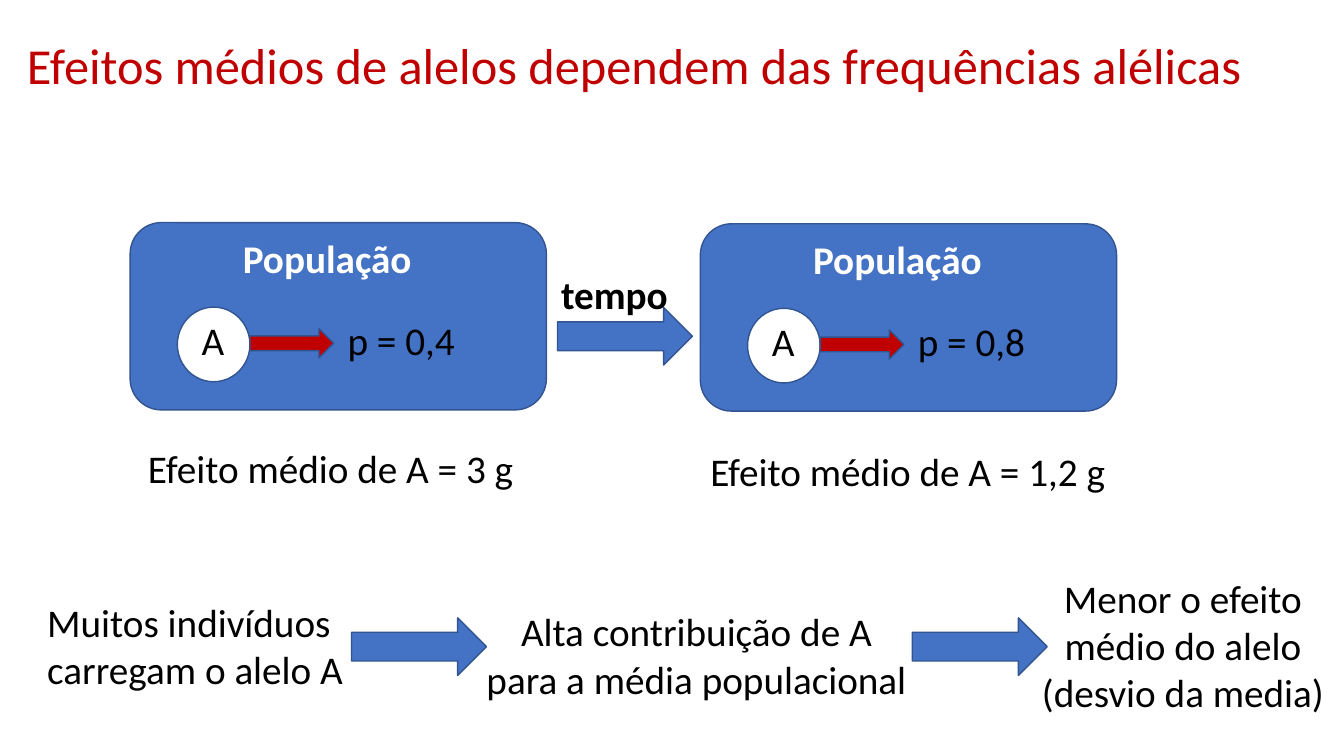
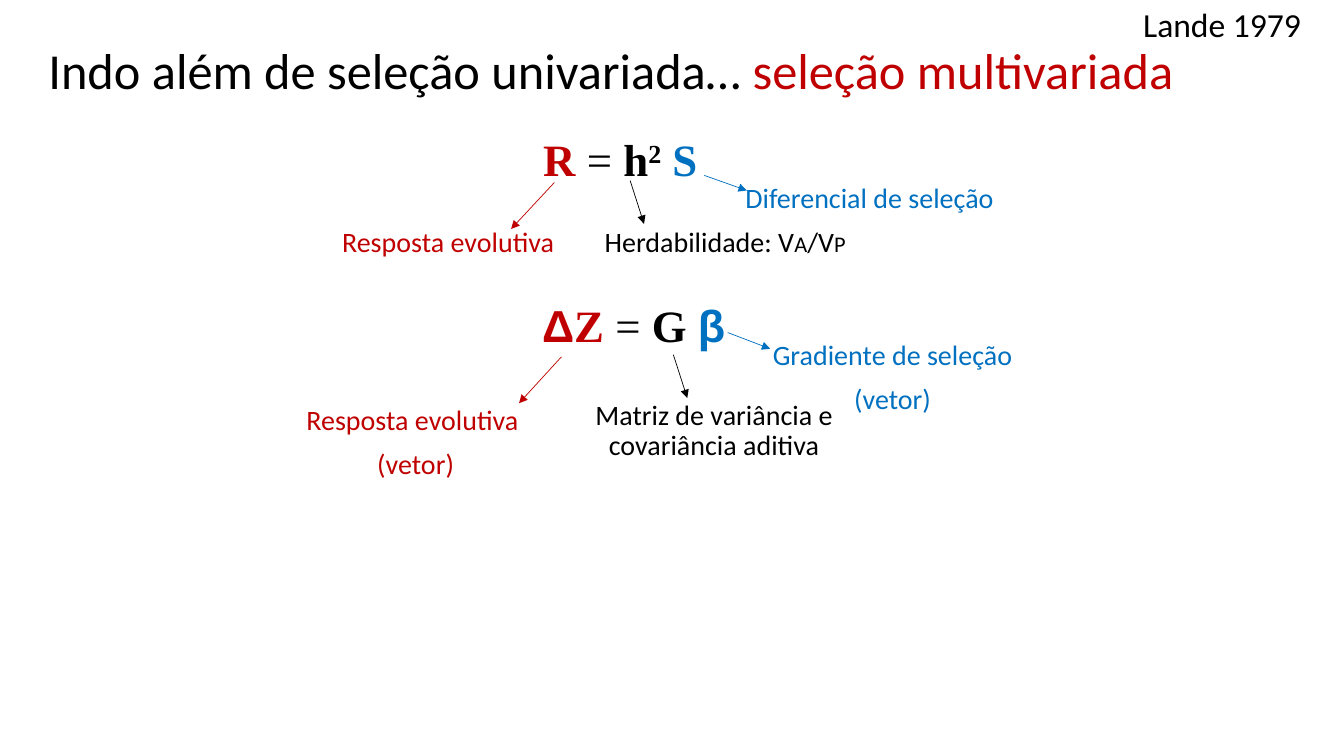
from dataclasses import dataclass
from typing import Optional

from lxml import etree
from pptx import Presentation
from pptx.dml.color import RGBColor as Rgb
from pptx.enum.shapes import MSO_CONNECTOR as Connector, MSO_SHAPE as Preset
from pptx.enum.text import MSO_ANCHOR as Anchor, PP_ALIGN as Align
from pptx.oxml.ns import qn
from pptx.util import Cm, Pt


@dataclass(frozen=True)
class Theme:
    black: str = "000000"
    white: str = "FFFFFF"
    red: str = "C00000"
    blue: str = "0070C0"
    panel: str = "4472C4"
    outline: str = "325491"
    body_font: str = "Calibri"
    formula_font: str = "Times New Roman"
    greek_font: str = "Arial"
    title_size: int = 36
    formula_size: int = 32
    body_size: int = 28
    source_size: int = 24
    note_size: int = 20
    subscript_size: int = 16


THEME = Theme()


@dataclass(frozen=True)
class Style:
    size: Optional[int] = None
    color: Optional[str] = None
    bold: Optional[bool] = None
    font: Optional[str] = None
    superscript: bool = False


BODY = Style(THEME.body_size, THEME.black, False, THEME.body_font)
HEADING = Style(THEME.body_size, THEME.white, True, THEME.body_font)
TIME_LABEL = Style(THEME.body_size, THEME.black, True, THEME.body_font)
TITLE = Style(THEME.title_size, font=THEME.body_font)
SOURCE = Style(THEME.source_size, THEME.black, False, THEME.body_font)
FORMULA = Style(THEME.formula_size, font=THEME.formula_font)
SUBSCRIPT = Style(THEME.subscript_size)
RED_TERM = Style(color=THEME.red, bold=True)
BLACK_TERM = Style(color=THEME.black, bold=True)
EQUALS = Style(color=THEME.black, bold=False)


def lengths(values):
    return [Cm(value) for value in values]


def apply_style(font, style):
    if style.size:
        font.size = Pt(style.size)
    if style.color:
        font.color.rgb = Rgb.from_string(style.color)
    if style.bold is not None:
        font.bold = style.bold
    if style.font:
        font.name = style.font


def add_text(slide, place, paragraphs, style, align=Align.LEFT,
             anchor=Anchor.TOP, spacing=None, gap=0):
    """Each paragraph is a string or a list of (text, Style) spans."""
    frame = slide.shapes.add_textbox(*lengths(place)).text_frame
    frame.word_wrap = True
    frame.vertical_anchor = anchor
    for index, content in enumerate(paragraphs):
        para = frame.add_paragraph() if index else frame.paragraphs[0]
        para.alignment = align
        if spacing:
            para.line_spacing = spacing
        if index and gap:
            para.space_before = Pt(gap)
        apply_style(para.font, style)
        spans = [(content, Style())] if isinstance(content, str) else content
        for text, span_style in spans:
            span = para.add_run()
            span.text = text
            apply_style(span.font, span_style)
            if span_style.superscript:
                span._r.get_or_add_rPr().set("baseline", "30000")


def add_preset(slide, preset, place, fill):
    shape = slide.shapes.add_shape(preset, *lengths(place))
    shape.shadow.inherit = False
    shape.fill.solid()
    shape.fill.fore_color.rgb = Rgb.from_string(fill)
    shape.line.color.rgb = Rgb.from_string(THEME.outline)
    shape.line.width = Pt(1)


def add_block_arrow(slide, left, top):
    add_preset(slide, Preset.RIGHT_ARROW, (left, top, 3.4, 1.45), THEME.panel)


def add_pointer(slide, ends, color):
    line = slide.shapes.add_connector(Connector.STRAIGHT, *lengths(ends))
    line.line.color.rgb = Rgb.from_string(color)
    line.line.width = Pt(0.5)
    outline = line.line._get_or_add_ln()
    etree.SubElement(outline, qn("a:tailEnd"), type="triangle")
    etree.SubElement(line._element.spPr, qn("a:effectLst"))


def add_title(slide, place, spans):
    add_text(slide, place, [spans], TITLE, spacing=0.9)


def add_population(slide, left, top, frequency):
    """Panel with an allele, its arrow and its frequency."""
    def inside(x, y, width, height):
        return left + x, top + y, width, height

    add_preset(slide, Preset.ROUNDED_RECTANGLE, inside(0, 0, 10.49, 4.72), THEME.panel)
    add_text(slide, inside(2.59, -0.89, 8.46, 3.68), ["População"], HEADING,
             anchor=Anchor.MIDDLE, spacing=0.9)
    add_preset(slide, Preset.OVAL, inside(1.19, 2.13, 1.83, 1.88), THEME.white)
    add_text(slide, inside(1.55, 2.24, 1.04, 1.45), ["A"], BODY)
    add_preset(slide, Preset.RIGHT_ARROW, inside(3.02, 2.67, 2.11, 0.74), THEME.red)
    add_text(slide, inside(5.23, 2.24, 3.58, 1.45), [f"p = {frequency}"], BODY)


def add_term_note(slide, ends, place, paragraphs, color):
    """Pointer from a formula term to its explanation."""
    add_pointer(slide, ends, color)
    style = Style(THEME.note_size, color, False, THEME.body_font)
    add_text(slide, place, paragraphs, style, Align.CENTER, spacing=0.9, gap=10)


def build_allele_effects(slide):
    add_title(slide, (0.43, 0.91, 31.45, 3.68), [
        ("Efeitos médios de alelos dependem das frequências alélicas",
         Style(color=THEME.red))])

    # Populations before and after
    add_population(slide, 3.28, 5.61, "0,4")
    add_population(slide, 17.65, 5.64, "0,8")
    for left, top, effect in ((3.48, 11.07, "3"), (17.65, 11.15, "1,2")):
        add_text(slide, (left, top, 11.07, 1.45), [f"Efeito médio de A = {effect} g"], BODY)
    add_block_arrow(slide, 14.05, 7.75)
    add_text(slide, (13.89, 5.64, 8.46, 3.68), ["tempo"], TIME_LABEL,
             anchor=Anchor.MIDDLE, spacing=0.9)

    # Chain of consequences
    for left in (8.86, 22.99):
        add_block_arrow(slide, left, 15.57)
    steps = (
        ((0.94, 14.96, 8.06, 2.64), "Muitos indivíduos carregam o alelo A", Align.LEFT),
        ((11.91, 15.19, 11.28, 2.64),
         "Alta contribuição de A para a média populacional", Align.CENTER),
        ((25.53, 14.35, 8.56, 3.84),
         "Menor o efeito médio do alelo (desvio da media)", Align.CENTER),
    )
    for place, text, align in steps:
        add_text(slide, place, [text], BODY, align)


def build_multivariate(slide):
    # Univariate equation
    add_text(slide, (13.44, 3.2, 6.99, 1.63), [[
        ("R ", RED_TERM), ("= ", EQUALS), ("h", BLACK_TERM),
        ("2", Style(color=THEME.black, bold=True, superscript=True)),
        (" S", Style(color=THEME.blue, bold=True))]], FORMULA)
    add_term_note(slide, (13.97, 4.6, 12.88, 5.77), (7.8, 5.64, 6.99, 1.17),
                  ["Resposta evolutiva"], THEME.red)
    add_term_note(slide, (15.88, 4.55, 16.23, 5.64), (14.78, 5.64, 6.99, 1.17),
                  [[("Herdabilidade: V", Style()), ("A", SUBSCRIPT),
                    ("/V", Style()), ("P", SUBSCRIPT)]], THEME.black)
    add_term_note(slide, (17.75, 4.42, 18.82, 4.8), (18.42, 4.52, 6.99, 1.17),
                  ["Diferencial de seleção"], THEME.blue)

    # Multivariate equation
    add_text(slide, (13.41, 7.37, 6.99, 1.63), [[
        ("Δ", Style(color=THEME.red, bold=True, font=THEME.greek_font)),
        ("Z ", RED_TERM), ("= ", EQUALS), ("G ", BLACK_TERM),
        ("β", Style(color=THEME.blue, bold=True, font=THEME.greek_font))]], FORMULA)
    add_term_note(slide, (14.15, 8.99, 13.08, 10.16), (4.72, 10.11, 11.51, 1.17),
                  ["Resposta evolutiva ", "(vetor)"], THEME.red)
    add_term_note(slide, (16.97, 8.94, 17.32, 10.03), (14.5, 9.98, 6.99, 1.17),
                  ["Matriz de variância e covariância aditiva"], THEME.black)
    add_term_note(slide, (18.34, 8.38, 19.41, 8.79), (19, 8.48, 6.99, 1.17),
                  ["Gradiente de seleção", "(vetor)"], THEME.blue)

    # Source and title
    add_text(slide, (27.74, -0.08, 6.12, 1.52), ["Lande 1979"], SOURCE,
             Align.CENTER, Anchor.MIDDLE, 0.9)
    add_title(slide, (0.97, 1.04, 29.21, 3.68), [
        ("Indo além de seleção univariada… ", Style(color=THEME.black)),
        ("seleção multivariada", Style(color=THEME.red))])


def main():
    deck = Presentation()
    deck.slide_width, deck.slide_height = Cm(33.87), Cm(19.05)
    for build in (build_allele_effects, build_multivariate):
        build(deck.slides.add_slide(deck.slide_layouts[6]))
    deck.save("out.pptx")


if __name__ == "__main__":
    main()
